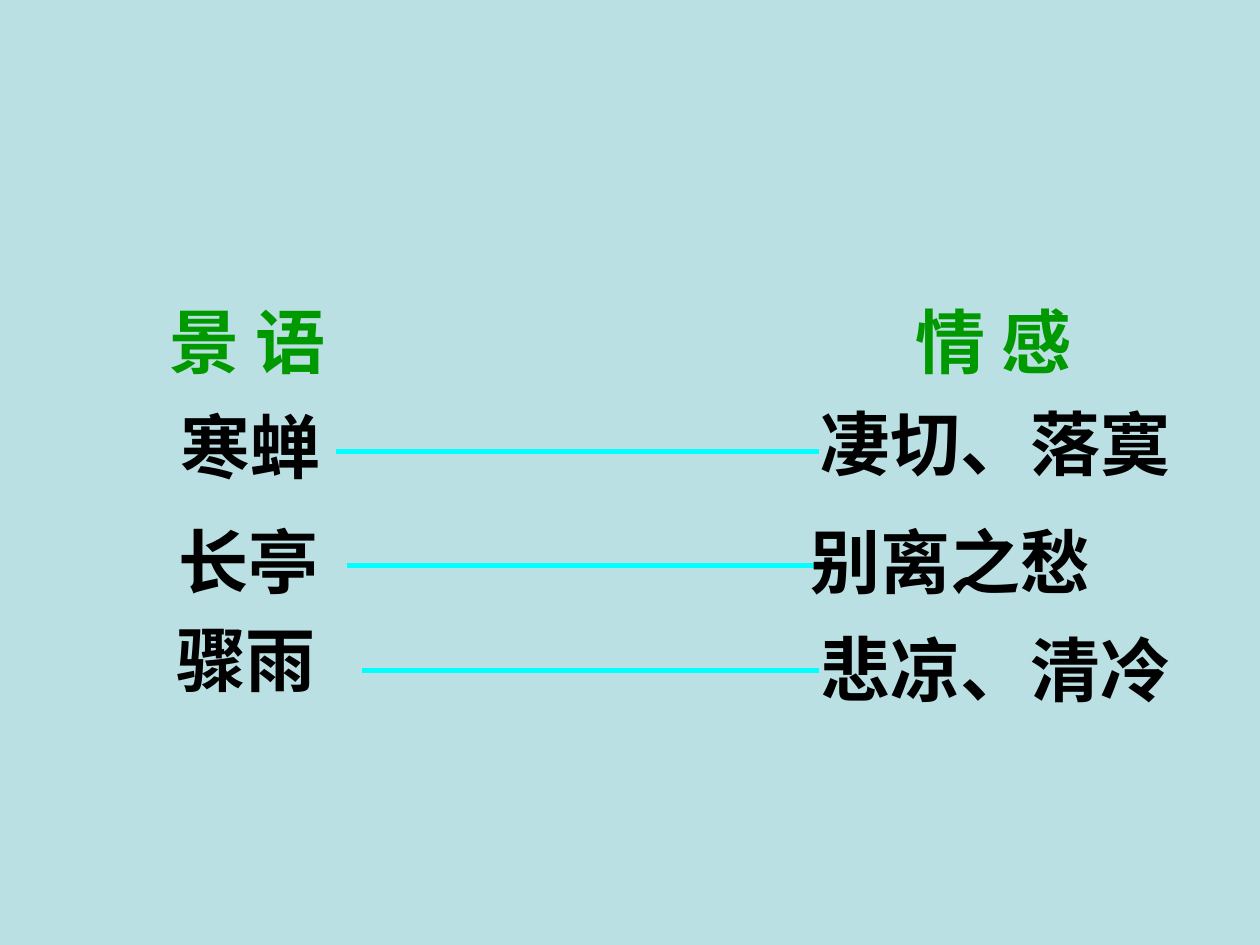
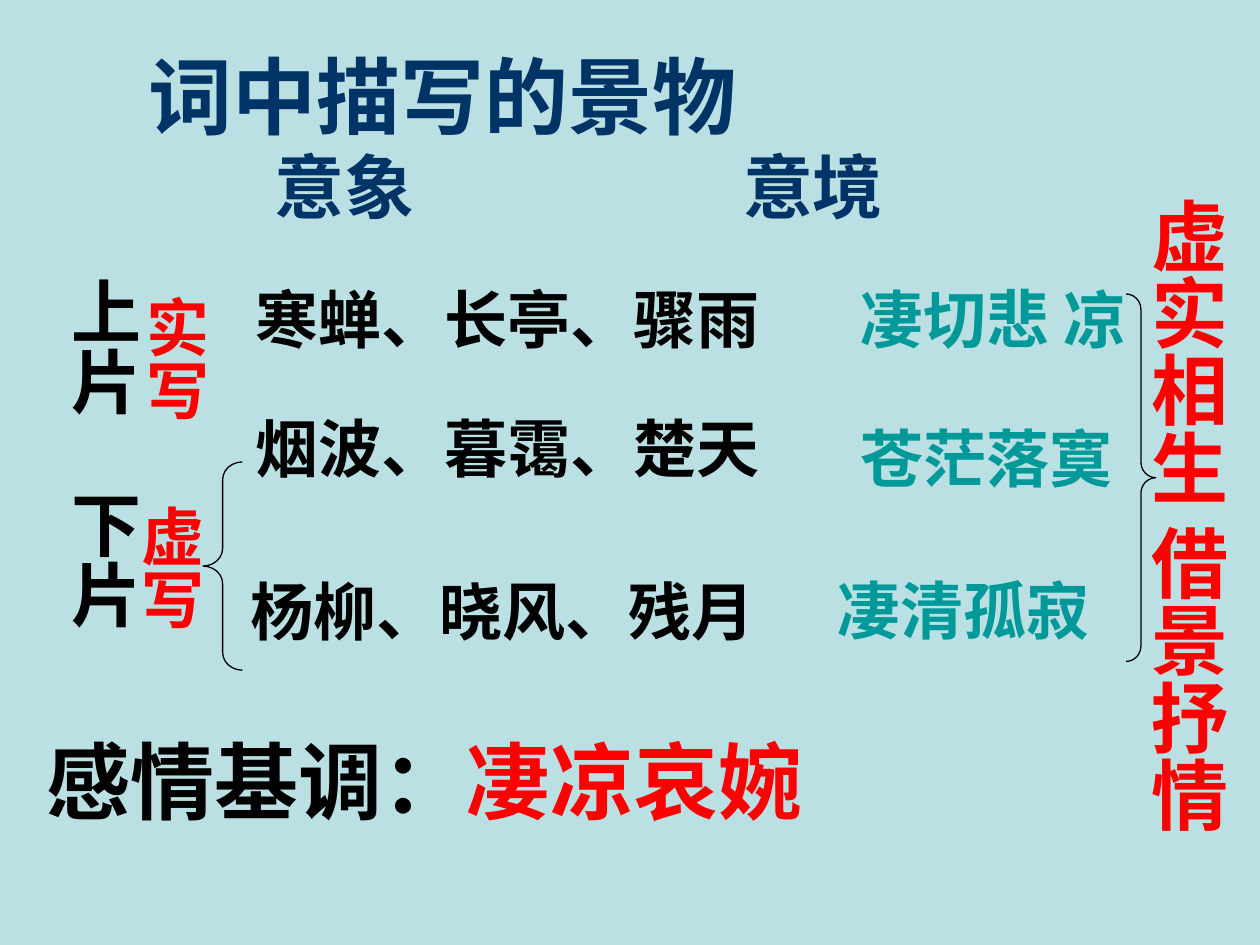
"""Build two slides on the scenery and mood of a classical poem."""
from dataclasses import dataclass

import pptx
import pptx.dml.color
import pptx.enum.shapes
import pptx.enum.text
import pptx.oxml.ns
import pptx.util
from lxml import etree

Pt = pptx.util.Pt
SHAPE = pptx.enum.shapes.MSO_SHAPE
BACK, BLACK, RED = "BBE0E3", "000000", "FF0000"
GREEN, TEAL, NAVY, CYAN = "009900", "009999", "003366", "00FFFF"


@dataclass
class Pair:
    """A scene word, the mood it carries and the line between them."""
    scene: str
    mood: str
    left: float
    top: float
    start: float
    line: float
    right: float
    level: float


@dataclass
class Row:
    """A row of images with the mood they evoke."""
    images: str
    mood: str
    left: float
    top: float
    right: float
    level: float


@dataclass
class Label:
    """A vertical label."""
    text: str
    left: float
    top: float
    width: float
    height: float
    size: float
    hue: str


@dataclass
class Brace:
    """A curly brace with its curve ratio."""
    kind: SHAPE
    left: float
    top: float
    width: float
    height: float
    curve: float


PAIRS = [
    Pair("寒蝉", "凄切、落寞", 96, 227, 192, 258, 462, 225.5),
    Pair("长亭", "别离之愁", 95, 293, 198, 323, 456, 292.5),
    Pair("骤雨", "悲凉、清冷", 93.5, 349, 207, 383, 462, 354.5),
]
ROWS = [
    Row("寒蝉、长亭、骤雨", "凄切悲 凉", 139, 157, 484.5, 157),
    Row("烟波、暮霭、楚天", "苍茫落寞", 139, 230.5, 484.5, 236),
    Row("杨柳、晓风、残月", "凄清孤寂", 136, 323.5, 471.5, 323),
]
LABELS = [
    Label("虚实相生 借景抒情", 641.5, 106, 67, 402.5, 44, RED),
    Label("上片", 25, 151, 62, 119, 40, BLACK),
    Label("下片", 25, 273, 62, 164, 40, BLACK),
    Label("实写", 67.5, 162, 58, 99, 36, RED),
    Label("虚写", 65, 281.5, 58, 119, 36, RED),
]
BRACES = [
    Brace(SHAPE.RIGHT_BRACE, 643.5, 168, 17, 210, 0.52),
    Brace(SHAPE.LEFT_BRACE, 116, 264, 22.5, 119, 0.45),
]


def paint(target, hue: str) -> None:
    """Set a hex colour on a colour format."""
    target.rgb = pptx.dml.color.RGBColor.from_string(hue)


def write(slide, text: str, left: float, top: float, width: float, *,
          size: float = 40, hue: str = BLACK, height: float = 0,
          upright: bool = False, tail: str = "", accent: str = RED) -> None:
    """Add a bold text box, with an optional tail in an accent colour."""
    box = slide.shapes.add_textbox(
        Pt(left), Pt(top), Pt(width), Pt(height or size * 1.2 + 7.2))
    frame = box.text_frame
    frame.word_wrap = True
    frame.auto_size = pptx.enum.text.MSO_AUTO_SIZE.NONE
    if upright:
        frame.margin_left = frame.margin_right = Pt(3.6)
        frame.margin_top = frame.margin_bottom = Pt(7.2)
        body = box.element.find(".//" + pptx.oxml.ns.qn("a:bodyPr"))
        body.set("vert", "eaVert")
    for part, tone in ((text, hue), (tail, accent)):
        if part:
            run = frame.paragraphs[0].add_run()
            run.text = part
            run.font.name, run.font.size, run.font.bold = "Arial", Pt(size), True
            paint(run.font.color, tone)


def link(slide, start: float, end: float, top: float) -> None:
    """Draw a level line."""
    line = slide.shapes.add_connector(
        pptx.enum.shapes.MSO_CONNECTOR.STRAIGHT,
        Pt(start), Pt(top), Pt(end), Pt(top))
    line.line.width = Pt(3)
    paint(line.line.color, CYAN)
    etree.SubElement(line.element.spPr, pptx.oxml.ns.qn("a:effectLst"))


def embrace(slide, item: Brace) -> None:
    """Draw a curly brace."""
    shape = slide.shapes.add_shape(
        item.kind, Pt(item.left), Pt(item.top), Pt(item.width), Pt(item.height))
    shape.adjustments[0] = item.curve
    shape.shadow.inherit = False
    shape.fill.background()
    shape.line.width = Pt(0.75)
    paint(shape.line.color, BLACK)


def start(deck):
    """Add a blank slide with the shared background."""
    slide = deck.slides.add_slide(deck.slide_layouts[6])
    fill = slide.background.fill
    fill.solid()
    paint(fill.fore_color, BACK)
    return slide


def match(deck) -> None:
    """Build the slide that links scenes to moods."""
    slide = start(deck)
    for text, left in (("景 语", 90), ("情 感", 516)):
        write(slide, text, left, 167, 180, hue=GREEN)
    for pair in PAIRS:
        write(slide, pair.scene, pair.left, pair.top, 193)
        link(slide, pair.start, 468, pair.line)
        write(slide, pair.mood, pair.right, pair.level, 252)


def survey(deck) -> None:
    """Build the slide that sums up the images of the poem."""
    slide = start(deck)
    write(slide, "词中描写的景物", 78, 22, 400, size=48, hue=NAVY)
    for text, left in (("意象", 150), ("意境", 417.5)):
        write(slide, text, left, 78.5, 120, hue=NAVY)
    for row in ROWS:
        write(slide, row.images, row.left, row.top, 323, size=36)
        write(slide, row.mood, row.right, row.level, 170, size=36, hue=TEAL)
    for label in LABELS:
        write(slide, label.text, label.left, label.top, label.width,
              size=label.size, hue=label.hue, height=label.height, upright=True)
    write(slide, "感情基调：", 19.5, 413.5, 600, size=48, tail="凄凉哀婉")
    for item in BRACES:
        embrace(slide, item)


def main() -> None:
    """Build and save the deck."""
    deck = pptx.Presentation()
    deck.slide_width, deck.slide_height = Pt(720), Pt(540)
    match(deck)
    survey(deck)
    deck.save("out.pptx")


if __name__ == "__main__":
    main()
